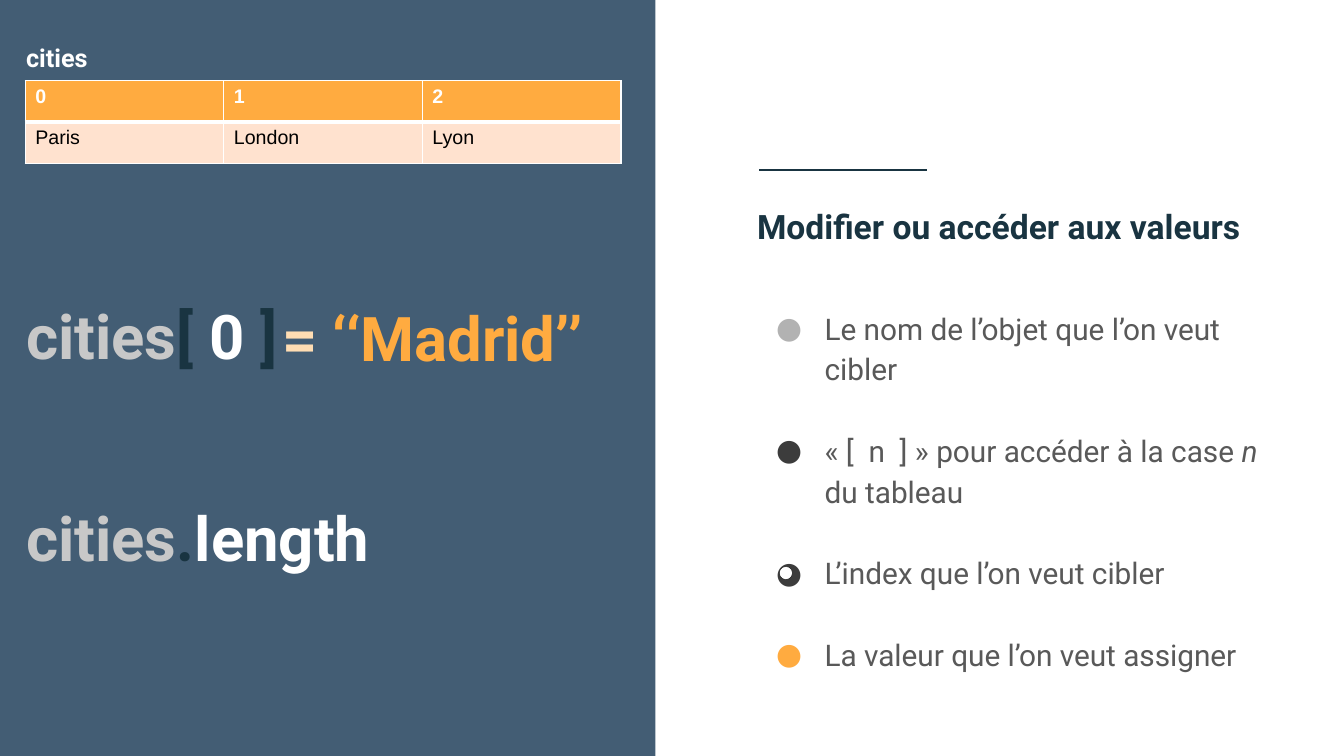
"""Builds the slide on changing and reading array values."""
from dataclasses import dataclass
from typing import Optional

from lxml.etree import SubElement
from pptx import Presentation
from pptx.dml.color import RGBColor
from pptx.enum.shapes import MSO_CONNECTOR, MSO_SHAPE
from pptx.enum.text import MSO_AUTO_SIZE
from pptx.oxml.ns import qn
from pptx.util import Emu, Pt

PX = 9144
COLORS = {
    "slate": "435D74", "navy": "193441", "white": "FFFFFF", "black": "000000",
    "silver": "C8C8C8", "orange": "FFAB40", "cream": "FFDDB3", "peach": "FFE2CF",
    "body": "595959", "gray": "B2B2B2", "charcoal": "3C3C3C",
}


@dataclass(frozen=True)
class Run:
    text: str
    color: str
    italic: bool = False


@dataclass(frozen=True)
class Label:
    box: tuple[int, int, int, int]
    runs: list[Run]
    size: float = 44
    wrap: bool = False
    grow: bool = True
    inset: Optional[int] = None


@dataclass(frozen=True)
class Bullet:
    color: str
    runs: list[Run]


LABELS = [
    Label((741, 194, 531, 84), [Run("Modifier ou accéder aux valeurs", "navy")],
          size=24, wrap=True, grow=False, inset=10),
    Label((16, 37, 600, 40), [Run("cities", "white")], size=18, wrap=True),
    Label((16, 291, 271, 84), [Run("cities", "silver"), Run("[", "navy"),
                               Run(" 0 ", "white"), Run("]", "navy")]),
    Label((16, 491, 363, 84), [Run("cities", "silver"), Run(".", "navy"),
                               Run("length", "white")]),
    Label((270, 293, 323, 84), [Run("= ", "cream"), Run("‘‘Madrid’’", "orange")]),
]
BULLETS = [
    Bullet("gray", [Run("Le nom de l’objet que l’on veut cibler", "body")]),
    Bullet("charcoal", [Run("« [  n  ] » pour accéder à la case ", "body"),
                        Run("n", "body", italic=True), Run(" du tableau", "body")]),
    Bullet("charcoal", [Run("L’index que l’on veut cibler", "body")]),
    Bullet("orange", [Run("La valeur que l’on veut assigner", "body")]),
]
CITIES = ["Paris", "London", "Lyon"]


def px(n: int) -> Emu:
    """Turn px into EMU."""
    return Emu(n * PX)


def rgb(name: str) -> RGBColor:
    """Look up a colour."""
    return RGBColor.from_string(COLORS[name])


def add_text(p, text: str, *, color: str, size: float, font: str = "Roboto",
             bold: bool = False, italic: bool = False) -> None:
    """Add a formatted run to a paragraph."""
    r = p.add_run()
    r.text = text
    f = r.font
    f.name, f.size, f.bold, f.italic = font, Pt(size), bold, italic
    f.color.rgb = rgb(color)


def add_box(slide, box: tuple[int, int, int, int], *, wrap: bool, grow: bool,
            inset: Optional[int] = None):
    """Add a text box and return its text frame."""
    tf = slide.shapes.add_textbox(*map(px, box)).text_frame
    tf.word_wrap = wrap
    tf.auto_size = MSO_AUTO_SIZE.SHAPE_TO_FIT_TEXT if grow else MSO_AUTO_SIZE.NONE
    if inset is not None:
        tf.margin_left = tf.margin_top = tf.margin_right = tf.margin_bottom = px(inset)
    return tf


def add_label(slide, label: Label) -> None:
    """Draw a bold one-line label."""
    tf = add_box(slide, label.box, wrap=label.wrap, grow=label.grow, inset=label.inset)
    for run in label.runs:
        add_text(tf.paragraphs[0], run.text, color=run.color, size=label.size, bold=True)


def add_shape(slide, kind: MSO_SHAPE, box: tuple[int, int, int, int], fill: str,
              line: Optional[str] = None) -> None:
    """Draw a filled shape."""
    sp = slide.shapes.add_shape(kind, *map(px, box))
    sp.shadow.inherit = False
    sp.fill.solid()
    sp.fill.fore_color.rgb = rgb(fill)
    if line:
        sp.line.color.rgb = rgb(line)
        sp.line.width = Pt(0.25)
    else:
        sp.line.fill.background()


def add_rule(slide) -> None:
    """Draw the short line above the title."""
    cxn = slide.shapes.add_connector(MSO_CONNECTOR.STRAIGHT, px(753), px(169), px(919), px(169))
    cxn.line.color.rgb = rgb("navy")
    cxn.line.width = Pt(1.5)
    SubElement(cxn.line._get_or_add_ln().getparent(), qn("a:effectLst"))


def add_bullets(slide) -> None:
    """Draw the bulleted explanation."""
    tf = add_box(slide, (741, 293, 531, 380), wrap=True, grow=False, inset=10)
    for i, bullet in enumerate(BULLETS):
        p = tf.add_paragraph() if i else tf.paragraphs[0]
        p.line_spacing = 1.14
        p.space_before = Pt(29.2 if i else 0)
        pPr = p._p.get_or_add_pPr()
        pPr.set("marL", str(px(67)))
        pPr.set("indent", str(px(-48)))
        SubElement(SubElement(pPr, qn("a:buClr")), qn("a:srgbClr"), val=COLORS[bullet.color])
        SubElement(pPr, qn("a:buFont"), typeface="Roboto")
        SubElement(pPr, qn("a:buChar"), char="●")
        for run in bullet.runs:
            add_text(p, run.text, color=run.color, size=21.3, italic=run.italic)


def set_border(cell, side: str, width: float) -> None:
    """Give one side of a cell a white border."""
    ln = SubElement(cell._tc.get_or_add_tcPr(), qn(f"a:ln{side}"), w=str(Pt(width)))
    SubElement(SubElement(ln, qn("a:solidFill")), qn("a:srgbClr"), val=COLORS["white"])


def add_cities(slide) -> None:
    """Draw the table of indexes and cities."""
    rows = [[str(i) for i in range(len(CITIES))], CITIES]
    table = slide.shapes.add_table(len(rows), len(CITIES), px(25), px(80), px(591), px(82)).table
    for y, row in enumerate(rows):
        header = y == 0
        for x, text in enumerate(row):
            cell = table.cell(y, x)
            for side in "LRTB":
                set_border(cell, side, 3 if side == ("B" if header else "T") else 1)
            cell.fill.solid()
            cell.fill.fore_color.rgb = rgb("orange" if header else "peach")
            add_text(cell.text_frame.paragraphs[0], text, size=14, font="Arial", bold=header,
                     color="white" if header else "black")


def main() -> None:
    """Build and save the slide."""
    prs = Presentation()
    prs.slide_width, prs.slide_height = px(1333), px(750)
    slide = prs.slides.add_slide(prs.slide_layouts[6])
    add_shape(slide, MSO_SHAPE.RECTANGLE, (0, 0, 650, 750), "slate")
    add_rule(slide)
    add_bullets(slide)
    add_shape(slide, MSO_SHAPE.OVAL, (773, 562, 13, 13), "white", line="black")
    add_cities(slide)
    for label in LABELS:
        add_label(slide, label)
    prs.save("out.pptx")


if __name__ == "__main__":
    main()
